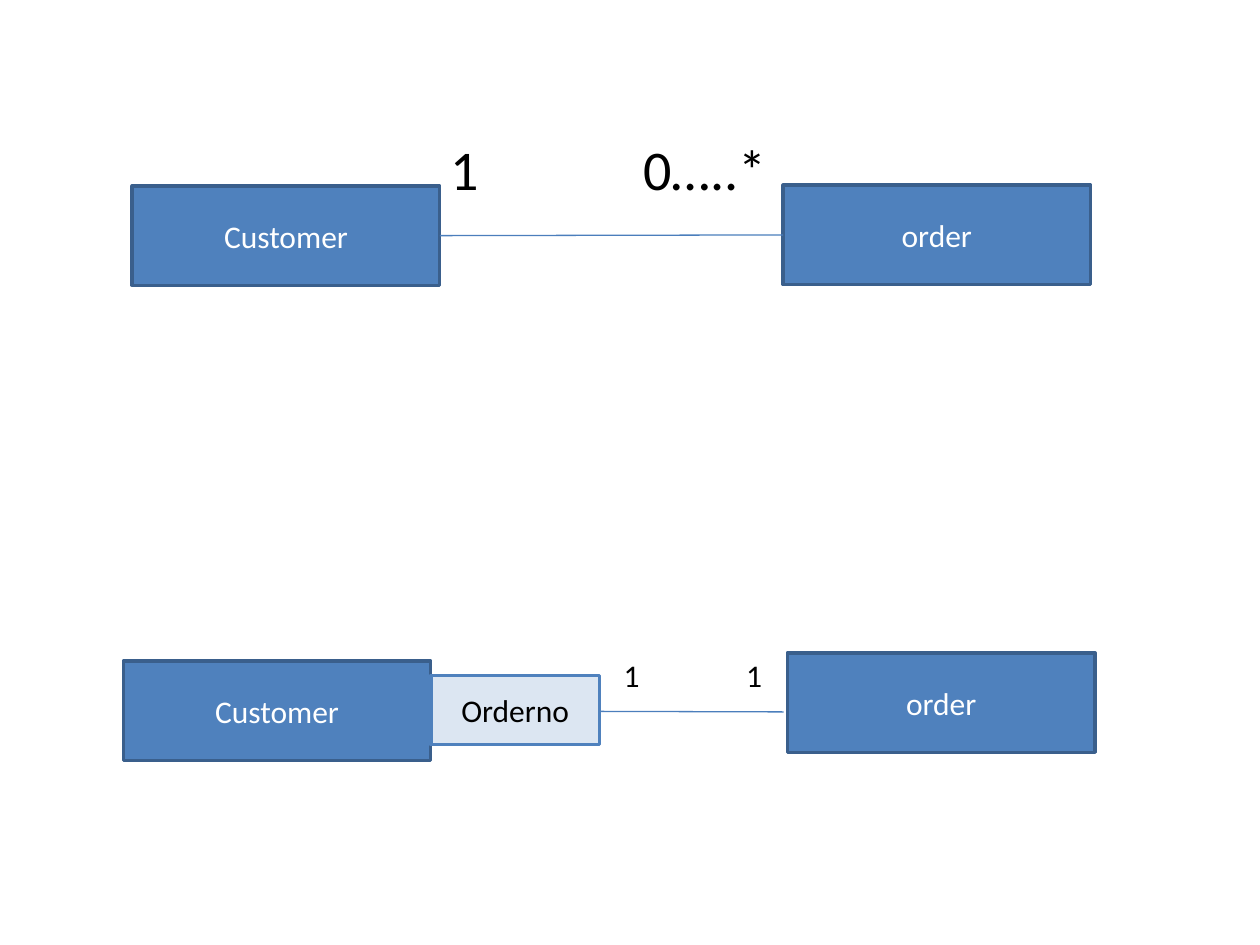
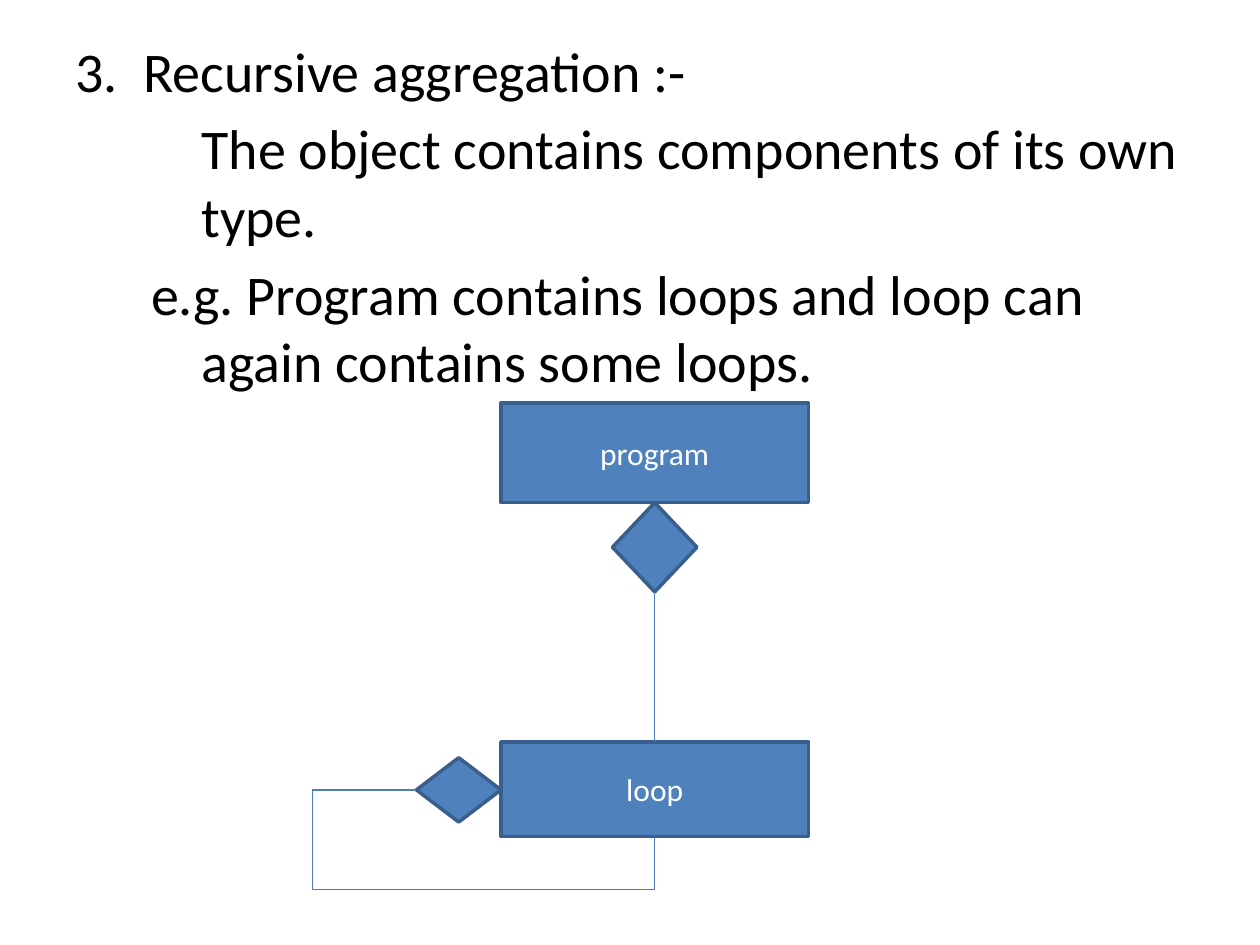
from pptx import Presentation
from pptx.dml.color import RGBColor
from pptx.enum.shapes import MSO_CONNECTOR, MSO_SHAPE
from pptx.enum.text import MSO_ANCHOR, PP_ALIGN
from pptx.oxml.ns import qn
from pptx.util import Pt
from lxml import etree

RECTANGLE = MSO_SHAPE.RECTANGLE
DIAMOND = MSO_SHAPE.FLOWCHART_DECISION
STRAIGHT = MSO_CONNECTOR.STRAIGHT
TOP, MIDDLE = MSO_ANCHOR.TOP, MSO_ANCHOR.MIDDLE
LEFT, CENTER = PP_ALIGN.LEFT, PP_ALIGN.CENTER

COLORS = {
    "text": "000000",
    "class_fill": "4F81BD",
    "class_edge": "3A5F8C",
    "class_text": "FFFFFF",
    "qualifier_fill": "DCE6F2",
    "qualifier_edge": "4F81BD",
    "link": "4B7EBC",
}
FONT = "Calibri"
BODY_SIZE, LABEL_SIZE = 32, 18
CLASS_WIDTH, CLASS_HEIGHT = 175.7, 56.9
TITLE_ONLY, BLANK = 5, 6


def color(name):
    return RGBColor.from_string(COLORS[name])


def set_all(target, values):
    for name, value in values.items():
        setattr(target, name, value)


def write(paragraph, text, size, color_name="text", align=LEFT):
    paragraph.text = text
    paragraph.alignment = align
    set_all(paragraph.font, {"name": FONT, "size": Pt(size)})
    paragraph.font.color.rgb = color(color_name)


def add_node(slide, kind, left, top, width, height, text="", role="class", text_color="class_text"):
    """Add a filled, outlined diagram element with optional centred text."""
    node = slide.shapes.add_shape(kind, Pt(left), Pt(top), Pt(width), Pt(height))
    node.shadow.inherit = False
    node.fill.solid()
    node.fill.fore_color.rgb = color(role + "_fill")
    node.line.color.rgb = color(role + "_edge")
    node.line.width = Pt(2)
    if text:
        node.text_frame.vertical_anchor = MIDDLE
        write(node.text_frame.paragraphs[0], text, LABEL_SIZE, text_color, CENTER)
    return node


def add_class(slide, name, left, top, height=CLASS_HEIGHT):
    return add_node(slide, RECTANGLE, left, top, CLASS_WIDTH, height, name)


def point_on(node, across, down):
    """Return the point at the given fractions of a node's width and height."""
    return node.left + int(node.width * across), node.top + int(node.height * down)


def add_path(slide, *points):
    """Join successive points with straight lines."""
    for start, end in zip(points, points[1:]):
        link = slide.shapes.add_connector(STRAIGHT, *start, *end)
        link.line.color.rgb = color("link")
        link.line.width = Pt(0.75)
        etree.SubElement(link._element.spPr, qn("a:effectLst"))


def add_multiplicity(slide, text, left, top, width, size):
    frame = slide.shapes.add_textbox(Pt(left), Pt(top), Pt(width), Pt(size * 1.22)).text_frame
    set_all(frame, dict.fromkeys(("margin_left", "margin_right", "margin_top", "margin_bottom"), 0))
    frame.word_wrap = True
    write(frame.paragraphs[0], text, size)


def set_title(slide, text):
    title = slide.shapes.title
    set_all(title, {"left": Pt(36), "top": Pt(17), "width": Pt(648), "height": Pt(46)})
    set_all(title.text_frame, {"vertical_anchor": TOP, "word_wrap": True})
    write(title.text_frame.paragraphs[0], text, BODY_SIZE)


def add_explanation(slide, paragraphs):
    """Add body text from pairs of wording and first-line indent."""
    frame = slide.shapes.add_textbox(Pt(36), Pt(61.5), Pt(650), Pt(165)).text_frame
    frame.word_wrap = True
    for index, (text, first_line) in enumerate(paragraphs):
        paragraph = frame.add_paragraph() if index else frame.paragraphs[0]
        write(paragraph, text, BODY_SIZE)
        if index:
            paragraph.space_before = Pt(6.4)
        properties = paragraph._p.get_or_add_pPr()
        properties.set("marL", str(Pt(72)))
        properties.set("indent", str(Pt(first_line)))


def build_qualified_association(deck):
    slide = deck.slides.add_slide(deck.slide_layouts[BLANK])

    customer = add_class(slide, "Customer", 75.6, 106.2)
    order = add_class(slide, "order", 447.5, 105.8)
    add_path(slide, point_on(customer, 1, 0.5), point_on(order, 0, 0.5))
    add_multiplicity(slide, "1", 257.5, 77, 30, BODY_SIZE)
    add_multiplicity(slide, "0…..*", 367.5, 77, 78, BODY_SIZE)

    customer = add_class(slide, "Customer", 70.5, 377.8)
    add_class(slide, "order", 450, 373)
    add_path(slide, point_on(customer, 1, 0.5), (Pt(447.8), Pt(406.8)))
    add_node(slide, RECTANGLE, 246.2, 386, 96.5, 39.6, "Orderno", "qualifier", "text")
    for left in (356.4, 426.4):
        add_multiplicity(slide, "1", left, 375, 15, LABEL_SIZE)


def build_recursive_aggregation(deck):
    slide = deck.slides.add_slide(deck.slide_layouts[TITLE_ONLY])
    set_title(slide, "3.  Recursive aggregation :-")
    add_explanation(slide, [
        ("The object contains components of its own type.", 0),
        ("e.g. Program contains loops and loop can again contains some loops.", -28.8),
    ])

    add_class(slide, "program", 286.3, 230.2)
    loop = add_class(slide, "loop", 286.3, 424, 54)
    program_diamond = add_node(slide, DIAMOND, 350, 287.2, 48.3, 51)
    loop_diamond = add_node(slide, DIAMOND, 238, 433, 48.3, 36.8)

    add_path(slide, point_on(program_diamond, 0.5, 1), point_on(loop, 0.5, 0))
    return_start = point_on(loop_diamond, 0, 0.5)
    return_end = point_on(loop, 0.5, 1)
    far_left, lowest = Pt(178.5), Pt(508.3)
    add_path(slide, return_start, (far_left, return_start[1]), (far_left, lowest),
             (return_end[0], lowest), return_end)


def main():
    deck = Presentation()
    set_all(deck, {"slide_width": Pt(720), "slide_height": Pt(540)})
    build_qualified_association(deck)
    build_recursive_aggregation(deck)
    deck.save("out.pptx")


if __name__ == "__main__":
    main()
